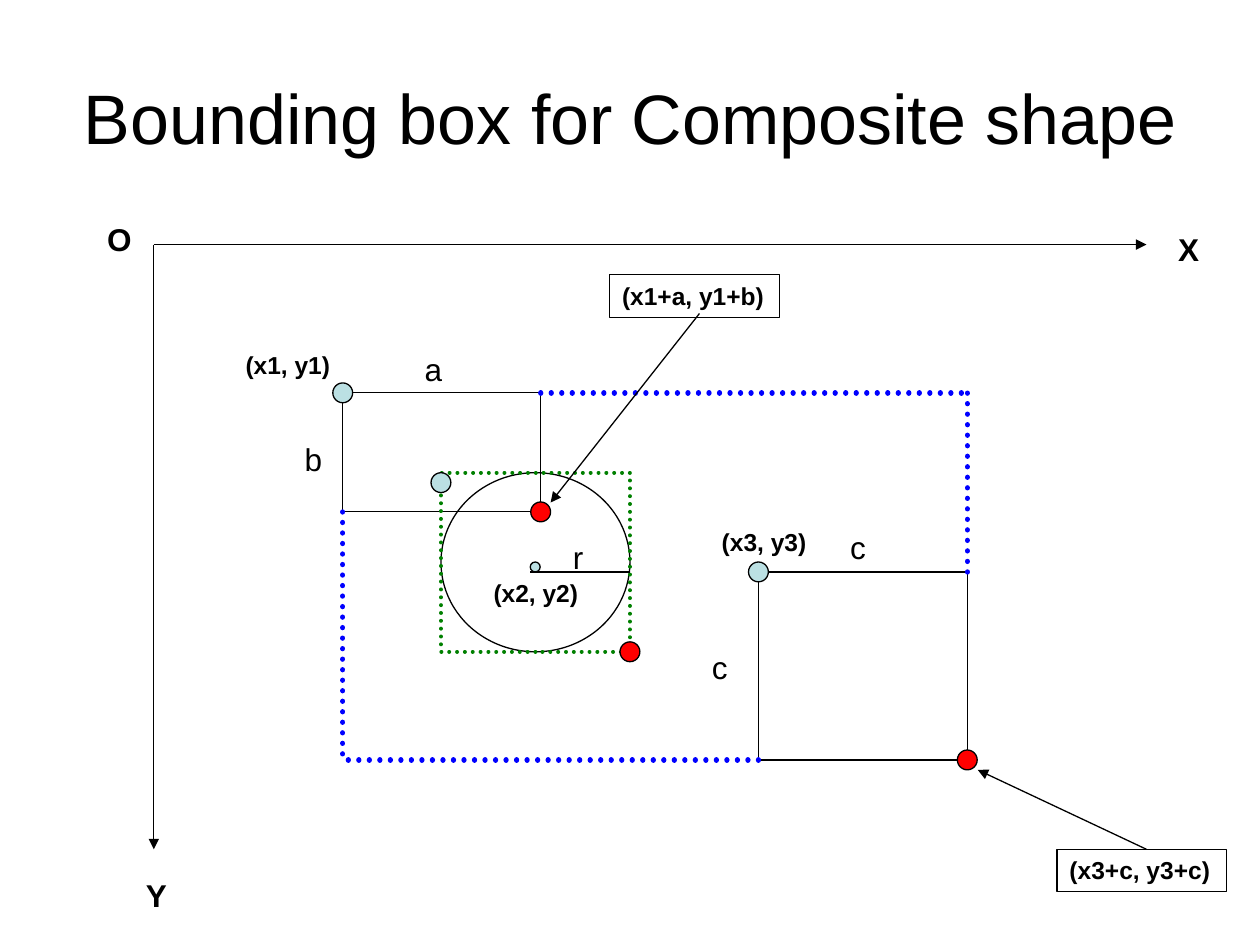
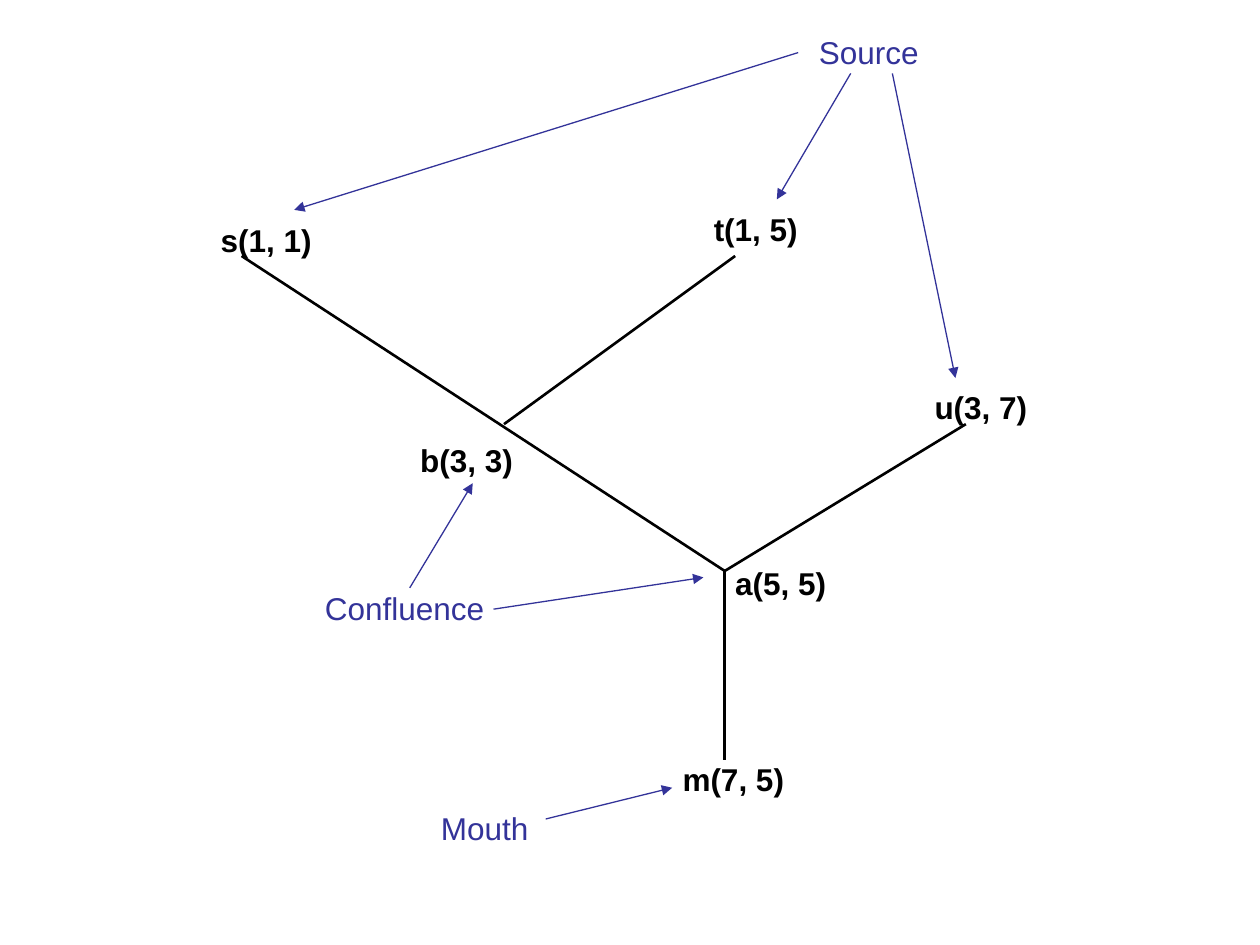
"""Build two diagram slides: a composite bounding box and a river network."""
from lxml.etree import SubElement
from pptx import Presentation
from pptx.dml.color import RGBColor
from pptx.enum.dml import MSO_LINE
from pptx.enum.shapes import MSO_CONNECTOR, MSO_SHAPE
from pptx.enum.text import MSO_ANCHOR, PP_ALIGN
from pptx.oxml.ns import qn
from pptx.util import Cm, Pt

COLORS = {
    "ink": "000000",
    "start": "BBE0E3",
    "end": "FF0000",
    "circle_bounds": "008000",
    "outer_bounds": "0000FF",
    "river_note": "333399",
}
FONT = "Arial"
THIN = 0.75


def add_label(shapes, text, left, top, width, height=1.02, size=18,
              bold=False, color="ink", inset=True):
    box = shapes.add_textbox(Cm(left), Cm(top), Cm(width), Cm(height))
    frame = box.text_frame
    frame.word_wrap = True
    if not inset:
        frame.margin_left = frame.margin_right = 0
        frame.margin_top = frame.margin_bottom = 0
    frame.text = text
    font = frame.paragraphs[0].runs[0].font
    font.name, font.size, font.bold = FONT, Pt(size), bold
    font.color.rgb = RGBColor.from_string(COLORS[color])
    return box


def add_line(shapes, start, end, color="ink", weight=THIN, arrow=False, dotted=False):
    line = shapes.add_connector(
        MSO_CONNECTOR.STRAIGHT, Cm(start[0]), Cm(start[1]), Cm(end[0]), Cm(end[1]))
    line.line.color.rgb = RGBColor.from_string(COLORS[color])
    line.line.width = Pt(weight)
    if dotted:
        line.line.dash_style = MSO_LINE.ROUND_DOT
        line.get_or_add_ln().set("cap", "rnd")
    if arrow:
        SubElement(line.get_or_add_ln(), qn("a:tailEnd"), type="triangle")
    SubElement(line.element.spPr, qn("a:effectLst"))


deck = Presentation()
deck.slide_width, deck.slide_height = Cm(25.4), Cm(19.05)

page = deck.slides.add_slide(deck.slide_layouts[5])
title = page.shapes.title
title.left, title.top, title.width, title.height = Cm(1.27), Cm(0.76), Cm(22.86), Cm(3.18)
title.text_frame.text = "Bounding box for Composite shape"
title.text_frame.vertical_anchor = MSO_ANCHOR.MIDDLE
para = title.text_frame.paragraphs[0]
para.alignment = PP_ALIGN.CENTER
span = para.runs[0]
span.font.name, span.font.size = FONT, Pt(40)
span.font.color.rgb = RGBColor.from_string(COLORS["ink"])

left, top, right, bottom = 6.91, 7.92, 19.5, 15.32
rect_right, rect_bottom = 10.9, 10.32
square_left, square_top = 15.29, 11.53
circle_left, circle_top, circle_width, circle_height = 8.89, 9.53, 3.81, 3.61
circle_bounds = (circle_left, circle_top, circle_width, circle_height)
dot = 0.4

outlines = [
    (MSO_SHAPE.OVAL, circle_bounds, None),
    (MSO_SHAPE.RECTANGLE, (square_left, square_top, right - square_left, bottom - square_top), None),
    (MSO_SHAPE.RECTANGLE, (left, top, rect_right - left, rect_bottom - top), None),
    (MSO_SHAPE.OVAL, (10.69, 11.33, dot / 2, dot / 2), "start"),
    (MSO_SHAPE.RECTANGLE, circle_bounds, "dotted"),
]
dots = [
    (circle_left, circle_top + dot / 2, "start"),
    (left, top, "start"),
    (square_left, square_top, "start"),
    (rect_right, rect_bottom, "end"),
    (circle_left + circle_width, circle_top + circle_height, "end"),
    (right, bottom, "end"),
]
for x, y, fill in dots:
    outlines.append((MSO_SHAPE.OVAL, (x - dot / 2, y - dot / 2, dot, dot), fill))

for kind, bounds, style in outlines:
    shape = page.shapes.add_shape(kind, *[Cm(length) for length in bounds])
    shape.shadow.inherit = False
    dotted = style == "dotted"
    shape.line.color.rgb = RGBColor.from_string(COLORS["circle_bounds" if dotted else "ink"])
    shape.line.width = Pt(2.25 if dotted else THIN)
    if dotted:
        shape.line.dash_style = MSO_LINE.ROUND_DOT
        shape.get_or_add_ln().set("cap", "rnd")
    if style in ("start", "end"):
        shape.fill.solid()
        shape.fill.fore_color.rgb = RGBColor.from_string(COLORS[style])
    else:
        shape.fill.background()

for start, end in [
    ((rect_right, top), (right, top)),
    ((right, square_top), (right, top)),
    ((square_left, bottom), (left, bottom)),
    ((left, rect_bottom), (left, bottom)),
]:
    add_line(page.shapes, start, end, "outer_bounds", 3, dotted=True)

origin = (3.1, 4.93)
for start, end in [
    (origin, (23.11, 4.93)),
    (origin, (3.1, 17.12)),
    ((14.1, 6.32), (11.1, 10.13)),
    ((23.11, 17.12), (19.71, 15.52)),
]:
    add_line(page.shapes, start, end, arrow=True)
add_line(page.shapes, (10.69, 11.53), (12.7, 11.53))

for text, x, y, width in [("O", 1.91, 4.32, 1), ("X", 23.5, 4.52, 1.2), ("Y", 2.69, 17.53, 2)]:
    add_label(page.shapes, text, x, y, width, bold=True)

for text, x, y, width in [
    ("a", 8.31, 6.93, 1.4),
    ("b", 5.89, 8.74, 1.2),
    ("c", 16.89, 10.52, 1.8),
    ("c", 14.1, 12.93, 1.6),
    ("r", 11.3, 10.72, 1.2),
]:
    add_label(page.shapes, text, x, y, width)

for text, x, y, width, framed in [
    ("(x1, y1)", 4.7, 6.93, 2.6, False),
    ("(x2, y2)", 9.7, 11.53, 2.4, False),
    ("(x3, y3)", 14.3, 10.49, 2.6, False),
    ("(x1+a, y1+b)", 12.29, 5.54, 3.42, True),
    ("(x3+c, y3+c)", 21.31, 17.12, 3.42, True),
]:
    box = add_label(page.shapes, text, x, y, width, 0.86, 14, True)
    if framed:
        box.line.color.rgb = RGBColor.from_string(COLORS["ink"])
        box.line.width = Pt(THIN)

page = deck.slides.add_slide(deck.slide_layouts[6])
river = page.shapes.add_group_shape().shapes
confluence = (14.61, 11.51)
for start, end in [
    ((14.61, 15.32), confluence),
    (confluence, (19.47, 8.55)),
    (confluence, (4.87, 5.16)),
    ((10.16, 8.55), (14.82, 5.16)),
]:
    add_line(river, start, end, weight=1.5)

for text, x, y in [
    ("m(7, 5)", 13.76, 15.32),
    ("a(5, 5)", 14.82, 11.38),
    ("u(3, 7)", 18.84, 7.82),
    ("t(1, 5)", 14.39, 4.23),
    ("s(1, 1)", 4.45, 4.45),
    ("b(3, 3)", 8.47, 8.89),
]:
    add_label(river, text, x, y, 2.34, 0.76, bold=True, inset=False)

for text, x, y, width, arrows in [
    ("Mouth", 8.64, 16.18, 2.8, [((11, 16.51), (13.55, 15.88))]),
    ("Confluence", 6.3, 11.74, 3.9, [
        ((8.26, 11.85), (9.53, 9.74)),
        ((9.95, 12.28), (14.18, 11.64)),
    ]),
    ("Source", 16.26, 0.54, 2.7, [
        ((16.09, 1.06), (5.93, 4.23)),
        ((17.15, 1.48), (15.66, 4.02)),
        ((17.99, 1.48), (19.26, 7.62)),
    ]),
]:
    note = page.shapes.add_group_shape().shapes
    label = add_label(note, text, x, y, width, color="river_note")
    label.text_frame.word_wrap = text == "Mouth"
    for start, end in arrows:
        add_line(note, start, end, "river_note", arrow=True)

deck.save("out.pptx")
